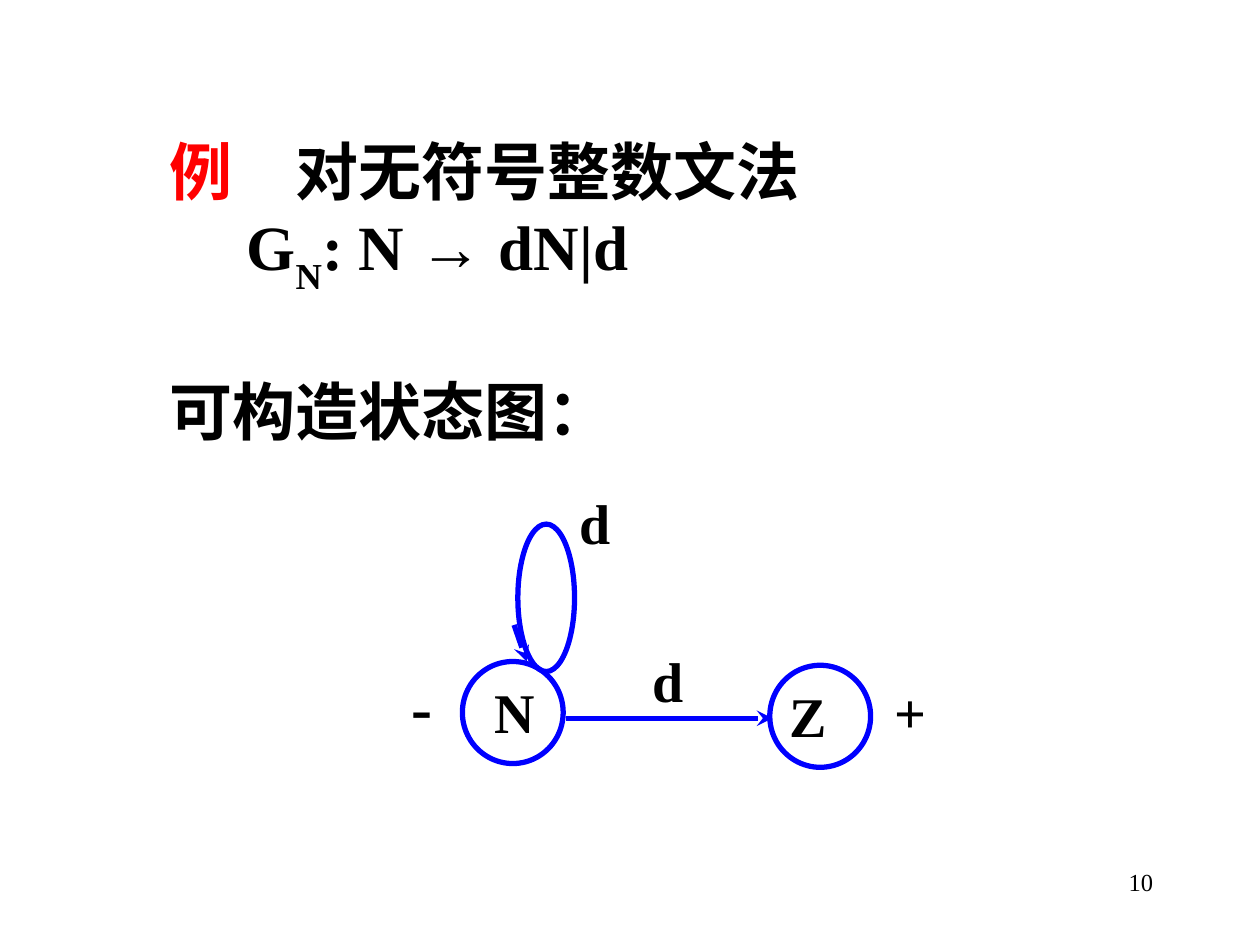
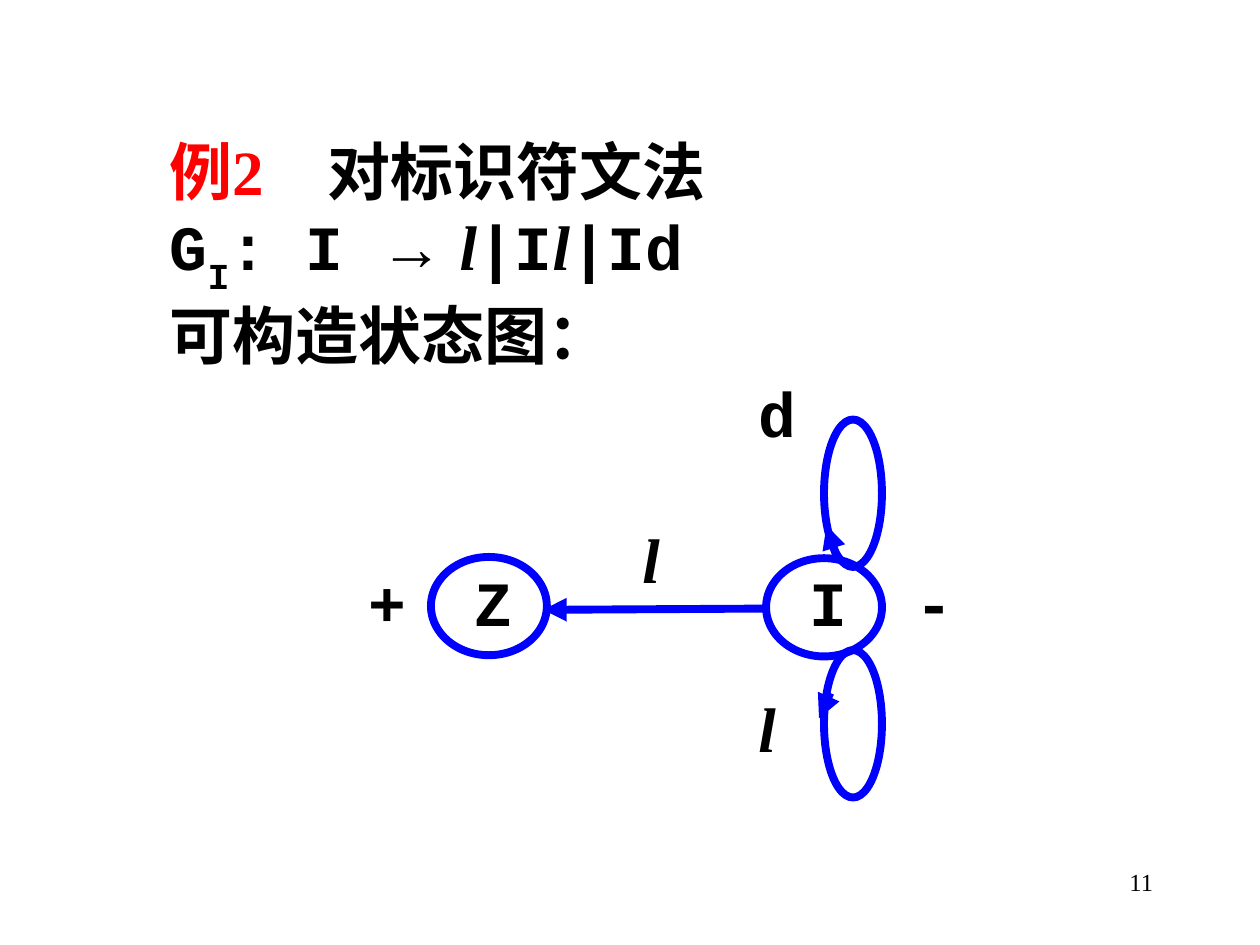
from dataclasses import dataclass

from pptx import Presentation
from pptx.dml.color import RGBColor
from pptx.enum.shapes import MSO_CONNECTOR as CONN, MSO_SHAPE as SHAPE
from pptx.enum.text import PP_ALIGN as ALIGN
from pptx.oxml.ns import qn
from pptx.slide import Slide
from pptx.util import Inches, Pt

BLACK = RGBColor(0x00, 0x00, 0x00)
RED = RGBColor(0xFF, 0x00, 0x00)
BLUE = RGBColor(0x00, 0x00, 0xFF)
SERIF = "Times New Roman"
MONO = "Courier New"


@dataclass(frozen=True)
class Span:
    text: str
    font: str | None = None
    color: RGBColor | None = None
    italic: bool = False
    sub: bool = False


@dataclass(frozen=True)
class Para:
    spans: tuple[Span, ...]
    font: str = SERIF
    size: float = 36
    bold: bool = True
    align: ALIGN = ALIGN.LEFT
    indent: float = 0
    before: float = 0


@dataclass(frozen=True)
class Oval:
    x: float
    y: float
    w: float
    h: float


@dataclass(frozen=True)
class Arrow:
    x1: float
    y1: float
    x2: float
    y2: float


@dataclass(frozen=True)
class Label:
    text: str
    x: float
    y: float
    size: float = 36
    font: str = SERIF
    italic: bool = False


@dataclass(frozen=True)
class Diagram:
    ovals: tuple[Oval, ...]
    arrows: tuple[Arrow, ...]
    labels: tuple[Label, ...]
    weight: float
    head: str


@dataclass(frozen=True)
class Example:
    number: int
    paras: tuple[Para, ...]
    diagram: Diagram


UNSIGNED_INTEGER = Example(
    10,
    (
        Para((Span("例", color=RED), Span("　对无符号整数文法"))),
        Para((Span("G"), Span("N", sub=True), Span(": N → dN|d")), indent=0.61),
        Para((Span("可构造状态图："),), before=43),
    ),
    Diagram(
        ovals=(
            Oval(4.11, 4.16, 0.45, 1.17),
            Oval(3.67, 5.25, 0.8, 0.81),
            Oval(6.11, 5.28, 0.8, 0.81),
        ),
        arrows=(Arrow(4.08, 4.96, 4.18, 5.25), Arrow(4.49, 5.7, 6.13, 5.7)),
        labels=(
            Label("N", 3.83, 5.33, 32),
            Label("Z", 6.17, 5.36, 32),
            Label("d", 5.08, 5.08, 32),
            Label("d", 4.5, 3.83, 32),
            Label("+", 7, 5.33, 32),
            Label("-", 3.17, 5.25),
        ),
        weight=3,
        head="stealth",
    ),
)

IDENTIFIER = Example(
    11,
    (
        Para((Span("例2", SERIF, RED), Span("　对标识符文法")), MONO),
        Para(
            (
                Span("G"),
                Span("I", sub=True),
                Span(": I "),
                Span("→ ", SERIF),
                Span("l", SERIF, italic=True),
                Span("|I"),
                Span("l", SERIF, italic=True),
                Span("|Id"),
            ),
            MONO,
        ),
        Para((Span("可构造状态图："),), MONO),
    ),
    Diagram(
        ovals=(
            Oval(3.42, 4.42, 0.92, 0.78),
            Oval(6.08, 4.43, 0.92, 0.78),
            Oval(6.54, 3.33, 0.46, 1.17),
            Oval(6.54, 5.16, 0.46, 1.17),
        ),
        arrows=(
            Arrow(6.08, 4.83, 4.31, 4.84),
            Arrow(6.65, 4.45, 6.56, 4.17),
            Arrow(6.59, 5.5, 6.5, 5.7),
        ),
        labels=(
            Label("d", 5.92, 2.92, font=MONO),
            Label("+", 2.83, 4.42, font=MONO),
            Label("-", 7.17, 4.42, font=MONO),
            Label("Z", 3.67, 4.42, font=MONO),
            Label("I", 6.33, 4.42, font=MONO),
            Label("l", 5, 4.08, italic=True),
            Label("l", 5.92, 5.42, italic=True),
        ),
        weight=4.5,
        head="triangle",
    ),
)


def add_text(s: Slide, x: float, y: float, w: float, h: float, *paras: Para) -> None:
    tf = s.shapes.add_textbox(Inches(x), Inches(y), Inches(w), Inches(h)).text_frame
    tf.word_wrap = True
    for i, para in enumerate(paras):
        p = tf.add_paragraph() if i else tf.paragraphs[0]
        p.alignment = para.align
        p.space_before = Pt(para.before)
        p.font.name = para.font
        p.font.size = Pt(para.size)
        p.font.bold = para.bold
        p.font.color.rgb = BLACK
        if para.indent:
            p._p.get_or_add_pPr().set("marL", str(Inches(para.indent)))
        for span in para.spans:
            add_run(p, span)


def add_run(p, span: Span) -> None:
    r = p.add_run()
    r.text = span.text
    if span.font:
        r.font.name = span.font
    if span.color:
        r.font.color.rgb = span.color
    if span.italic:
        r.font.italic = True
    if span.sub:
        r._r.get_or_add_rPr().set("baseline", "-30000")


def add_oval(s: Slide, oval: Oval, weight: float) -> None:
    sp = s.shapes.add_shape(
        SHAPE.OVAL, Inches(oval.x), Inches(oval.y), Inches(oval.w), Inches(oval.h)
    )
    sp.shadow.inherit = False
    sp.fill.background()
    sp.line.color.rgb = BLUE
    sp.line.width = Pt(weight)


def add_arrow(s: Slide, arrow: Arrow, weight: float, head: str) -> None:
    c = s.shapes.add_connector(
        CONN.STRAIGHT, Inches(arrow.x1), Inches(arrow.y1), Inches(arrow.x2), Inches(arrow.y2)
    )
    c.line.color.rgb = BLUE
    c.line.width = Pt(weight)
    sp_pr = c._element.spPr
    ln = sp_pr.find(qn("a:ln"))
    ln.append(ln.makeelement(qn("a:tailEnd"), {"type": head}))
    sp_pr.append(sp_pr.makeelement(qn("a:effectLst"), {}))


def add_diagram(s: Slide, d: Diagram) -> None:
    for oval in d.ovals:
        add_oval(s, oval, d.weight)
    for arrow in d.arrows:
        add_arrow(s, arrow, d.weight, d.head)
    for label in d.labels:
        span = Span(label.text, italic=label.italic)
        add_text(s, label.x, label.y, 0.5, 0.7, Para((span,), label.font, label.size))


def add_example(prs: Presentation, example: Example) -> None:
    s = prs.slides.add_slide(prs.slide_layouts[6])
    number = Para((Span(str(example.number)),), size=14, bold=False, align=ALIGN.RIGHT)
    add_text(s, 7.17, 6.83, 2.08, 0.5, number)
    add_text(s, 1.25, 1, 6.67, 2.61, *example.paras)
    add_diagram(s, example.diagram)


def main() -> None:
    prs = Presentation()
    prs.slide_width = Inches(10)
    prs.slide_height = Inches(7.5)
    for example in (UNSIGNED_INTEGER, IDENTIFIER):
        add_example(prs, example)
    prs.save("out.pptx")


if __name__ == "__main__":
    main()
